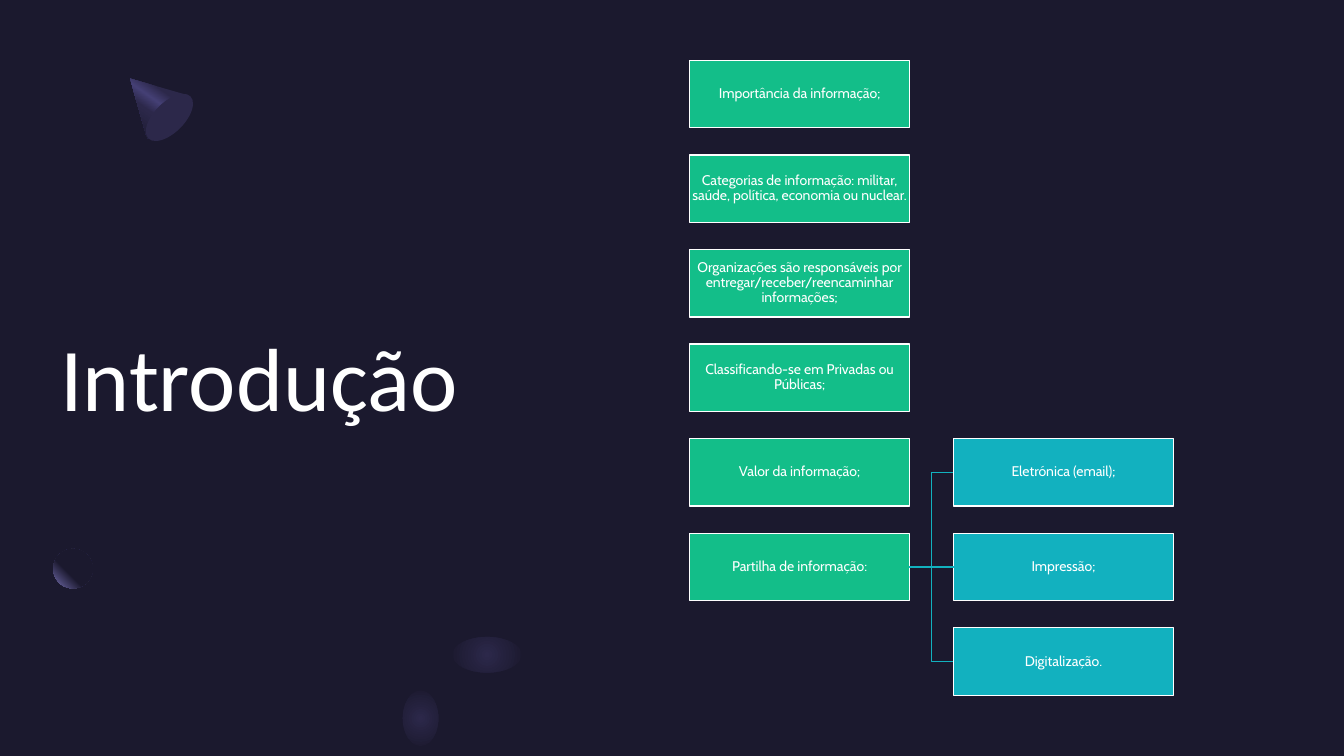
import pptx
import pptx.dml.color
import pptx.enum.shapes
import pptx.enum.text
import pptx.oxml
import pptx.oxml.ns
import pptx.util
from pptx.util import Cm

COLOURS = {
    "night": "1B192E",
    "shade": "2C284A",
    "violet": "454075",
    "lilac": "7771B2",
    "topic": "13BE89",
    "channel": "12B1BF",
    "white": "FFFFFF",
}
TOPICS = [
    "Importância da informação;",
    "Categorias de informação: militar, saúde, política, economia ou nuclear.",
    "Organizações são responsáveis por entregar/receber/reencaminhar informações;",
    "Classificando-se em Privadas ou Públicas;",
    "Valor da informação;",
    "Partilha de informação:",
]
CHANNELS = ["Eletrónica (email);", "Impressão;", "Digitalização."]
FIRST_CHANNEL_ROW = 4
SHAPES = pptx.enum.shapes.MSO_SHAPE
LINKS = pptx.enum.shapes.MSO_CONNECTOR
ALIGN = pptx.enum.text.PP_ALIGN
DRAWING = pptx.oxml.ns.nsdecls("a")


def colour(name):
    """Return the named colour of the palette."""
    return pptx.dml.color.RGBColor.from_string(COLOURS[name])


def write(frame, text, font, size, align, inset=0, spacing=1.0):
    """Put formatted white text, vertically centred, into a text frame."""
    frame.word_wrap = True
    frame.auto_size = pptx.enum.text.MSO_AUTO_SIZE.NONE
    frame.vertical_anchor = pptx.enum.text.MSO_ANCHOR.MIDDLE
    frame.margin_left = frame.margin_right = Cm(inset)
    frame.margin_top = frame.margin_bottom = Cm(inset)
    paragraph = frame.paragraphs[0]
    paragraph.alignment = align
    paragraph.line_spacing = spacing
    run = paragraph.add_run()
    run.text = text
    run.font.name = font
    run.font.size = pptx.util.Pt(size)
    run.font.color.rgb = colour("white")


def shade(shape, stops, direction):
    """Fill a borderless shape with gradient stops along the direction given as XML."""
    shape.shadow.inherit = False
    shape.line.fill.background()
    shape.fill.background()
    stop_list = "".join(
        f'<a:gs pos="{percent * 1000}"><a:srgbClr val="{COLOURS[name]}"/></a:gs>'
        for percent, name in stops
    )
    gradient = pptx.oxml.parse_xml(
        f'<a:gradFill {DRAWING} rotWithShape="1">'
        f"<a:gsLst>{stop_list}</a:gsLst>{direction}</a:gradFill>"
    )
    properties = shape.element.spPr
    properties.replace(properties.find(pptx.oxml.ns.qn("a:noFill")), gradient)


def radial(left, top, right, bottom):
    """Return a circular gradient direction with its focus given in percent insets."""
    return (
        f'<a:path path="circle"><a:fillToRect l="{left * 1000}" t="{top * 1000}" '
        f'r="{right * 1000}" b="{bottom * 1000}"/></a:path>'
    )


def add_cone(slide, left, top):
    """Draw the tilted cone with its tip at the given point."""
    rim = [(1.42, 0.41), (1.5, 0.46), (0.46, 1.52), (0.41, 1.45)]
    builder = slide.shapes.build_freeform(Cm(left), Cm(top))
    builder.add_line_segments([(Cm(left + x), Cm(top + y)) for x, y in rim])
    shade(
        builder.convert_to_shape(),
        [(30, "shade"), (45, "violet"), (60, "shade"), (100, "night")],
        '<a:lin ang="7500000" scaled="0"/>',
    )
    base = slide.shapes.add_shape(
        SHAPES.OVAL, Cm(left + 0.61), Cm(top + 0.23), Cm(0.76), Cm(1.5)
    )
    base.rotation = 45
    base.shadow.inherit = False
    base.fill.solid()
    base.fill.fore_color.rgb = colour("shade")
    base.line.fill.background()


def add_orb(slide, left, top, width, height, stops, direction):
    """Draw an ellipse shaded from its focus outwards."""
    orb = slide.shapes.add_shape(
        SHAPES.OVAL, Cm(left), Cm(top), Cm(width), Cm(height)
    )
    shade(orb, stops, direction)


def add_decoration(slide, left, top):
    """Scatter the cone, the sphere and the two soft glows."""
    add_cone(slide, left + 3.28, top + 1.98)
    add_orb(slide, left + 1.34, top + 13.83, 1, 1,
            [(0, "night"), (60, "night"), (100, "lilac")], radial(100, 0, 0, 100))
    glow = [(0, "shade"), (100, "night")]
    for x, y, width, height in [(11.4, 16.05, 1.75, 0.9), (10.15, 17.4, 0.9, 1.4)]:
        add_orb(slide, left + x, top + y, width, height, glow, radial(50, 50, 50, 50))


def add_heading(slide, left, top, width, height):
    """Place the slide title in its box."""
    heading = slide.shapes.title
    heading.left, heading.top = Cm(left), Cm(top)
    heading.width, heading.height = Cm(width), Cm(height)
    write(heading.text_frame, "Introdução", "Calibri", 64, ALIGN.LEFT)


def add_card(slide, text, fill, left, top, width, height):
    """Draw one bordered card with its text."""
    card = slide.shapes.add_shape(
        SHAPES.RECTANGLE, Cm(left), Cm(top), Cm(width), Cm(height)
    )
    card.shadow.inherit = False
    card.fill.solid()
    card.fill.fore_color.rgb = colour(fill)
    card.line.color.rgb = colour("white")
    card.line.width = pptx.util.Pt(1)
    write(card.text_frame, text, "Cabin", 10, ALIGN.CENTER, inset=0.03, spacing=0.9)
    return card


def add_branch(slide, parent, child):
    """Join the right side of the parent to the left side of the child."""
    kind = LINKS.STRAIGHT if parent.top == child.top else LINKS.ELBOW
    branch = slide.shapes.add_connector(kind, 0, 0, 0, 0)
    branch.begin_connect(parent, 3)
    branch.end_connect(child, 1)
    branch.line.color.rgb = colour("channel")
    branch.line.width = pptx.util.Pt(1)
    branch.element.spPr.append(pptx.oxml.parse_xml(f"<a:effectLst {DRAWING}/>"))


def add_hierarchy(slide, left, top, width, height):
    """Stack the topics and branch the last one into its channels."""
    card_width, card_height = 5.54, 1.7
    rows = FIRST_CHANNEL_ROW + len(CHANNELS)
    pitch = (height - card_height) / (rows - 1)
    channel_left = left + width - card_width
    topic_cards = [
        add_card(slide, text, "topic", left, top + row * pitch, card_width, card_height)
        for row, text in enumerate(TOPICS)
    ]
    for row, text in enumerate(CHANNELS, FIRST_CHANNEL_ROW):
        channel = add_card(slide, text, "channel", channel_left, top + row * pitch,
                           card_width, card_height)
        add_branch(slide, topic_cards[-1], channel)


def main():
    """Build the introduction slide and save it."""
    deck = pptx.Presentation()
    deck.slide_width, deck.slide_height = Cm(33.87), Cm(19.05)
    slide = deck.slides.add_slide(deck.slide_layouts[5])
    slide.background.fill.solid()
    slide.background.fill.fore_color.rgb = colour("night")
    add_heading(slide, 1.52, 4.22, 12.6, 10.49)
    add_decoration(slide, 0, 0)
    add_hierarchy(slide, 17.38, 1.52, 12.19, 16)
    deck.save("out.pptx")


if __name__ == "__main__":
    main()
